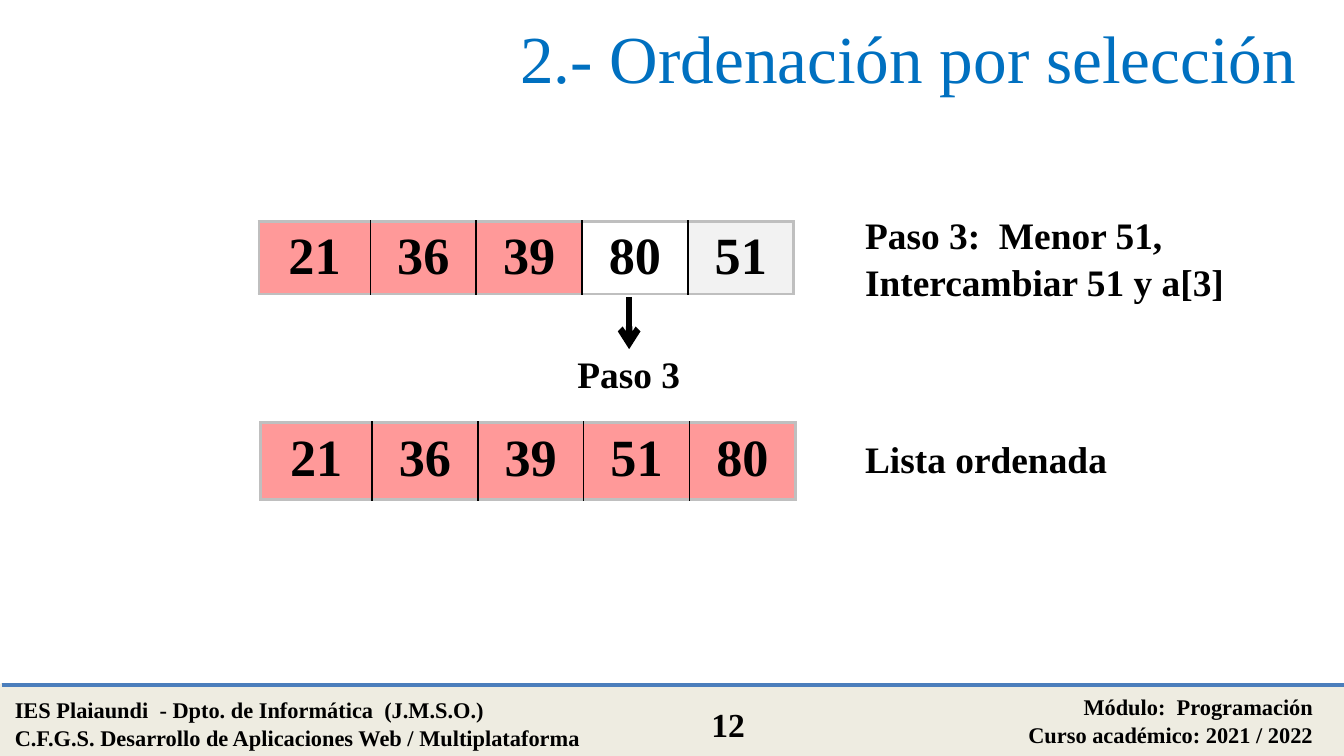
from lxml import etree
from pptx import Presentation
from pptx import util as u
from pptx.dml.color import RGBColor
from pptx.enum import shapes, text
from pptx.oxml.ns import qn

FONT = "Times New Roman"
COLORS = {
    "black": "000000", "title": "0070C0", "sorted": "FF9999", "smallest": "F2F2F2",
    "pending": "FFFFFF", "frame": "BFBFBF", "footer": "EEECE1", "rule": "4B7EBC",
}
LEFT, CENTER, RIGHT = text.PP_ALIGN.LEFT, text.PP_ALIGN.CENTER, text.PP_ALIGN.RIGHT
SLIDE_SIZE = 25.4, 14.29
FOOTER_TOP = 12.95
FIRST_COLUMN, OTHER_COLUMNS = 2.11, 2.0

# lines, (left, top, width, height) in cm, alignment, size
FOOTER_TEXTS = [
    (["IES Plaiaundi  - Dpto. de Informática  (J.M.S.O.)",
      "C.F.G.S. Desarrollo de Aplicaciones Web / Multiplataforma"],
     (0.03, 13.0, 11.84, 1.27), LEFT, 12),
    (["Módulo:  Programación", "Curso académico: 2021 / 2022"],
     (14.91, 12.95, 10.16, 1.27), RIGHT, 12),
    (["12"], (12.73, 13.13, 2.06, 1.02), CENTER, 18),
]
TITLE = ["2.- Ordenación por selección "], (0.03, 0, 25.04, 2.13), RIGHT, 36
STEP_TEXTS = [
    (["Paso 3"], (10.49, 6.4, 2.79, 1.19), CENTER, 20),
    (["Paso 3:  Menor 51,", "Intercambiar 51 y a[3]"], (16.1, 3.76, 8.41, 2.03), LEFT, 20),
    (["Lista ordenada"], (16.1, 8.0, 8.41, 1.19), LEFT, 20),
]
# left, top, row height in cm, cells as (value, state)
ARRAYS = [
    (4.89, 4.19, 1.35, [("21", "sorted"), ("36", "sorted"), ("39", "sorted"),
                        ("80", "pending"), ("51", "smallest")]),
    (4.92, 7.99, 1.45, [(value, "sorted") for value in ("21", "36", "39", "51", "80")]),
]
ARROW = (11.89, 5.61), (11.89, 6.6)


def color(name):
    return RGBColor.from_string(COLORS[name])


def format_paragraph(paragraph, size, align, color_name="black", bold=True):
    paragraph.alignment = align
    for run in paragraph.runs:
        run.font.name = FONT
        run.font.size = u.Pt(size)
        run.font.bold = bold
        run.font.color.rgb = color(color_name)


def add_text(slide, lines, box, align, size, top_inset=0.13, color_name="black", bold=True,
             anchor=text.MSO_ANCHOR.TOP):
    frame = slide.shapes.add_textbox(*map(u.Cm, box)).text_frame
    frame.word_wrap = True
    frame.vertical_anchor = anchor
    frame.margin_top = u.Cm(top_inset)
    frame.text = "\n".join(lines)
    for paragraph in frame.paragraphs:
        paragraph.line_spacing = 1.05 if bold else 1.0
        format_paragraph(paragraph, size, align, color_name, bold)


def add_line(slide, start, end, color_name, width, arrow=False):
    line = slide.shapes.add_connector(shapes.MSO_CONNECTOR.STRAIGHT,
                                      *map(u.Cm, start + end))
    line.line.color.rgb = color(color_name)
    line.line.width = u.Pt(width)
    if arrow:
        etree.SubElement(line.line._get_or_add_ln(), qn("a:tailEnd"), type="arrow")
    etree.SubElement(line._element.spPr, qn("a:effectLst"))


def set_borders(cell, is_first, is_last):
    """Grey frame around the array, black rules between its cells."""
    sides = {"L": "frame" if is_first else "black", "R": "frame" if is_last else "black",
             "T": "frame", "B": "frame"}
    properties = cell._tc.get_or_add_tcPr()
    for position, (side, color_name) in enumerate(sides.items()):
        width = u.Pt(1.5 if color_name == "frame" else 1)
        border = etree.Element(qn(f"a:ln{side}"), w=str(int(width)))
        fill = etree.SubElement(border, qn("a:solidFill"))
        etree.SubElement(fill, qn("a:srgbClr"), val=COLORS[color_name])
        properties.insert(position, border)


def add_array(slide, left, top, height, cells):
    widths = [FIRST_COLUMN] + [OTHER_COLUMNS] * (len(cells) - 1)
    table = slide.shapes.add_table(1, len(cells), u.Cm(left), u.Cm(top),
                                   u.Cm(sum(widths)), u.Cm(height)).table
    table.first_row = table.horz_banding = False
    table.rows[0].height = u.Cm(height)
    for index, (value, state) in enumerate(cells):
        table.columns[index].width = u.Cm(widths[index])
        cell = table.cell(0, index)
        cell.margin_bottom = u.Cm(0.05)
        cell.text_frame.text = value
        format_paragraph(cell.text_frame.paragraphs[0], 28, CENTER)
        cell.fill.solid()
        cell.fill.fore_color.rgb = color(state)
        set_borders(cell, index == 0, index == len(cells) - 1)


def add_footer(slide):
    width, height = SLIDE_SIZE
    band = slide.shapes.add_shape(shapes.MSO_SHAPE.RECTANGLE, u.Cm(0.03), u.Cm(FOOTER_TOP),
                                  u.Cm(width), u.Cm(height - FOOTER_TOP))
    band.shadow.inherit = False
    band.fill.solid()
    band.fill.fore_color.rgb = color("footer")
    band.line.color.rgb = color("footer")
    band.line.width = u.Pt(2)
    add_line(slide, (0.03, FOOTER_TOP), (width + 0.03, FOOTER_TOP), "rule", 2)
    for item in FOOTER_TEXTS:
        add_text(slide, *item)


def main():
    presentation = Presentation()
    presentation.slide_width, presentation.slide_height = map(u.Cm, SLIDE_SIZE)
    slide = presentation.slides.add_slide(presentation.slide_layouts[6])
    add_footer(slide)
    add_text(slide, *TITLE, color_name="title", bold=False, anchor=text.MSO_ANCHOR.MIDDLE)
    for array in ARRAYS:
        add_array(slide, *array)
    add_line(slide, *ARROW, "black", 3.5, arrow=True)
    for item in STEP_TEXTS:
        add_text(slide, *item, top_inset=0.2)
    presentation.save("out.pptx")


if __name__ == "__main__":
    main()
